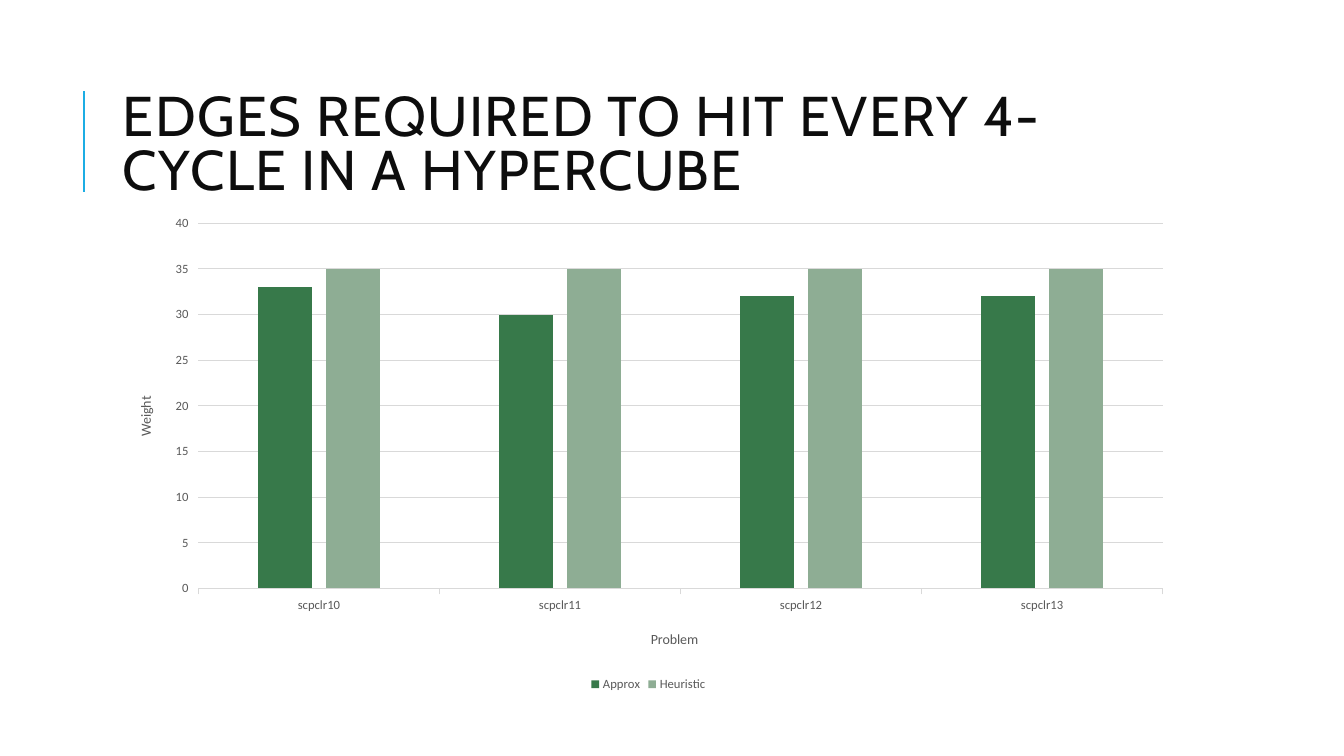
from dataclasses import dataclass

from lxml.etree import SubElement
from pptx import Presentation
from pptx.chart.data import CategoryChartData
from pptx.dml.color import RGBColor
from pptx.enum.chart import XL_CHART_TYPE as ChartType
from pptx.enum.chart import XL_LEGEND_POSITION as LegendPosition
from pptx.enum.chart import XL_TICK_MARK as TickMark
from pptx.enum.shapes import MSO_CONNECTOR as Connector
from pptx.enum.text import MSO_ANCHOR as Anchor
from pptx.enum.text import MSO_AUTO_SIZE as AutoSize
from pptx.enum.text import PP_ALIGN as Align
from pptx.oxml import parse_xml
from pptx.oxml.ns import nsdecls, qn
from pptx.util import Cm, Pt


@dataclass(frozen=True)
class Theme:
    heading_font: str = "Cabin"
    chart_font: str = "Calibri"
    heading_size: float = 40
    axis_title_size: float = 10
    label_size: float = 9
    hairline: float = 0.75
    accent_width: float = 1.5
    heading: str = "0D0D0D"
    label: str = "595959"
    grid: str = "D9D9D9"
    accent: str = "1CADE4"
    series: tuple = ("37794A", "8EAD94")


THEME = Theme()
LEFT, WIDTH = Cm(2.84), Cm(27)
PROBLEMS = ("scpclr10", "scpclr11", "scpclr12", "scpclr13")
WEIGHTS = {"Approx": (33, 30, 32, 32), "Heuristic": (35, 35, 35, 35)}


def style_font(font, name, size, color):
    font.name = name
    font.size = Pt(size)
    font.bold = False
    font.color.rgb = RGBColor.from_string(color)


def style_line(line, color, width):
    line.color.rgb = RGBColor.from_string(color)
    line.width = Pt(width)


def place(element, **fractions):
    """Set a chart part's manual layout, in fractions of the chart."""
    layout = element.find(qn("c:layout"))
    if layout is None:
        layout = parse_xml(f"<c:layout {nsdecls('c')}/>")
        text = element.find(qn("c:tx"))
        element.insert(0 if text is None else 1, layout)
    manual = SubElement(layout, qn("c:manualLayout"))
    if "w" in fractions:
        SubElement(manual, qn("c:layoutTarget")).set("val", "inner")
    for side in ("x", "y"):
        SubElement(manual, qn(f"c:{side}Mode")).set("val", "edge")
    for side, fraction in fractions.items():
        SubElement(manual, qn(f"c:{side}")).set("val", str(fraction))


def add_heading(slide, text):
    heading = slide.shapes.title
    heading.left, heading.top = LEFT, Cm(1.63)
    heading.width, heading.height = WIDTH, Cm(4.17)
    frame = heading.text_frame
    frame.word_wrap = True
    frame.auto_size = AutoSize.NONE
    frame.vertical_anchor = Anchor.MIDDLE
    paragraph = frame.paragraphs[0]
    paragraph.alignment = Align.LEFT
    paragraph.line_spacing = 0.8
    run = paragraph.add_run()
    run.text = text
    style_font(run.font, THEME.heading_font, THEME.heading_size, THEME.heading)
    run.font._element.set("spc", "100")


def add_accent(slide, x, top, bottom):
    accent = slide.shapes.add_connector(Connector.STRAIGHT, x, bottom, x, top)
    style_line(accent.line, THEME.accent, THEME.accent_width)
    SubElement(accent._element.spPr, qn("a:effectLst"))


def style_axis(axis, title, x, y, rotation=0):
    axis.major_tick_mark = TickMark.OUTSIDE
    axis.minor_tick_mark = TickMark.NONE
    style_font(axis.tick_labels.font, THEME.chart_font, THEME.label_size, THEME.label)
    axis_title = axis.axis_title
    frame = axis_title.text_frame
    run = frame.paragraphs[0].add_run()
    run.text = title
    style_font(run.font, THEME.chart_font, THEME.axis_title_size, THEME.label)
    body = frame._txBody.find(qn("a:bodyPr"))
    body.set("rot", str(rotation * 60000))
    body.set("vert", "horz")
    place(axis_title._element, x=x, y=y)


def add_weight_chart(slide):
    data = CategoryChartData()
    data.categories = PROBLEMS
    for method, weights in WEIGHTS.items():
        data.add_series(method, weights)
    chart = slide.shapes.add_chart(
        ChartType.COLUMN_CLUSTERED, LEFT, Cm(5.26), WIDTH, Cm(12.27), data).chart
    chart.has_title = False
    chart.font.name = THEME.chart_font
    chart.font.size = Pt(THEME.axis_title_size)

    # Columns
    columns = chart.plots[0]
    columns.vary_by_categories = False
    columns.gap_width, columns.overlap = 219, -27
    for method, color in zip(columns.series, THEME.series):
        method.format.fill.solid()
        method.format.fill.fore_color.rgb = RGBColor.from_string(color)
    place(chart._chartSpace.chart.plotArea, x=0.08, y=0.03, w=0.9, h=0.75)

    # Axes
    problem, weight = chart.category_axis, chart.value_axis
    style_axis(problem, "Problem", x=0.5, y=0.86)
    style_line(problem.format.line, THEME.grid, THEME.hairline)
    style_axis(weight, "Weight", x=0.02, y=0.38, rotation=-90)
    weight.format.line.fill.background()
    weight.minimum_scale, weight.maximum_scale, weight.major_unit = 0, 40, 5
    weight.has_major_gridlines = True
    style_line(weight.major_gridlines.format.line, THEME.grid, THEME.hairline)

    # Legend
    chart.has_legend = True
    chart.legend.position = LegendPosition.BOTTOM
    chart.legend.include_in_layout = False
    style_font(chart.legend.font, THEME.chart_font, THEME.label_size, THEME.label)


def main():
    deck = Presentation()
    deck.slide_width, deck.slide_height = Cm(33.87), Cm(19.05)
    slide = deck.slides.add_slide(deck.slide_layouts.get_by_name("Title Only"))
    add_accent(slide, Cm(2.11), top=Cm(2.29), bottom=Cm(4.83))
    add_heading(slide, "EDGES REQUIRED TO HIT EVERY 4-CYCLE IN A HYPERCUBE")
    add_weight_chart(slide)
    deck.save("out.pptx")


main()
